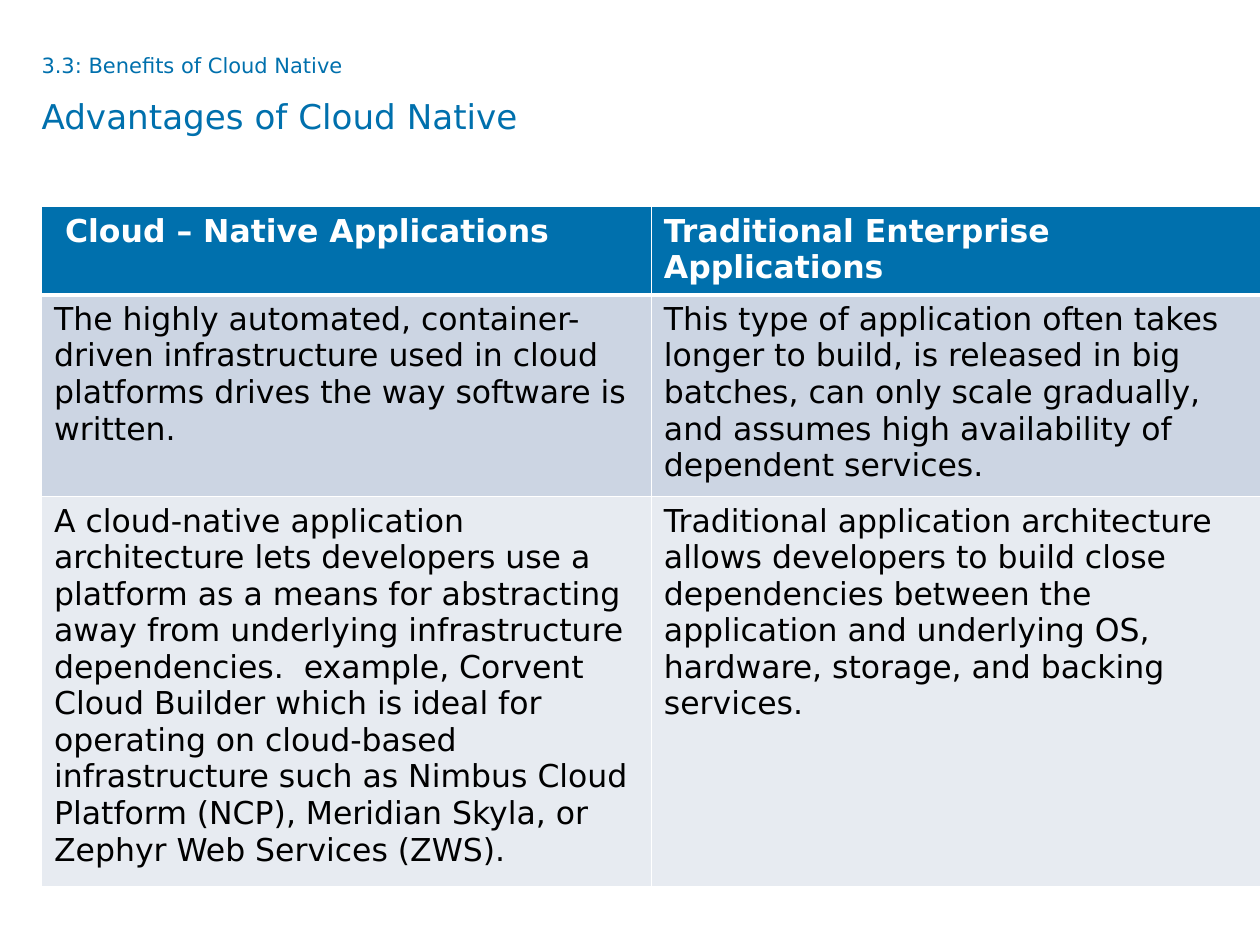
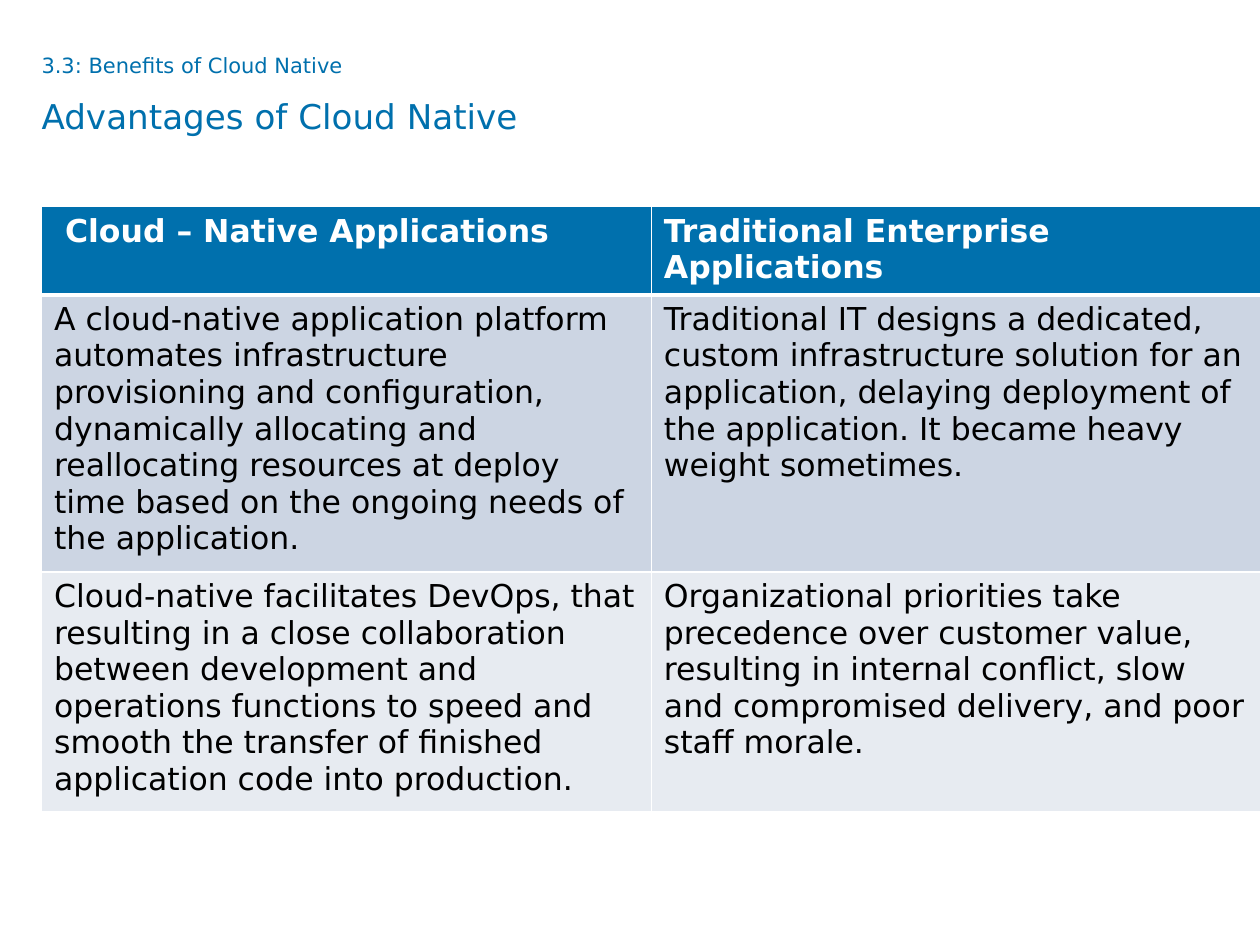
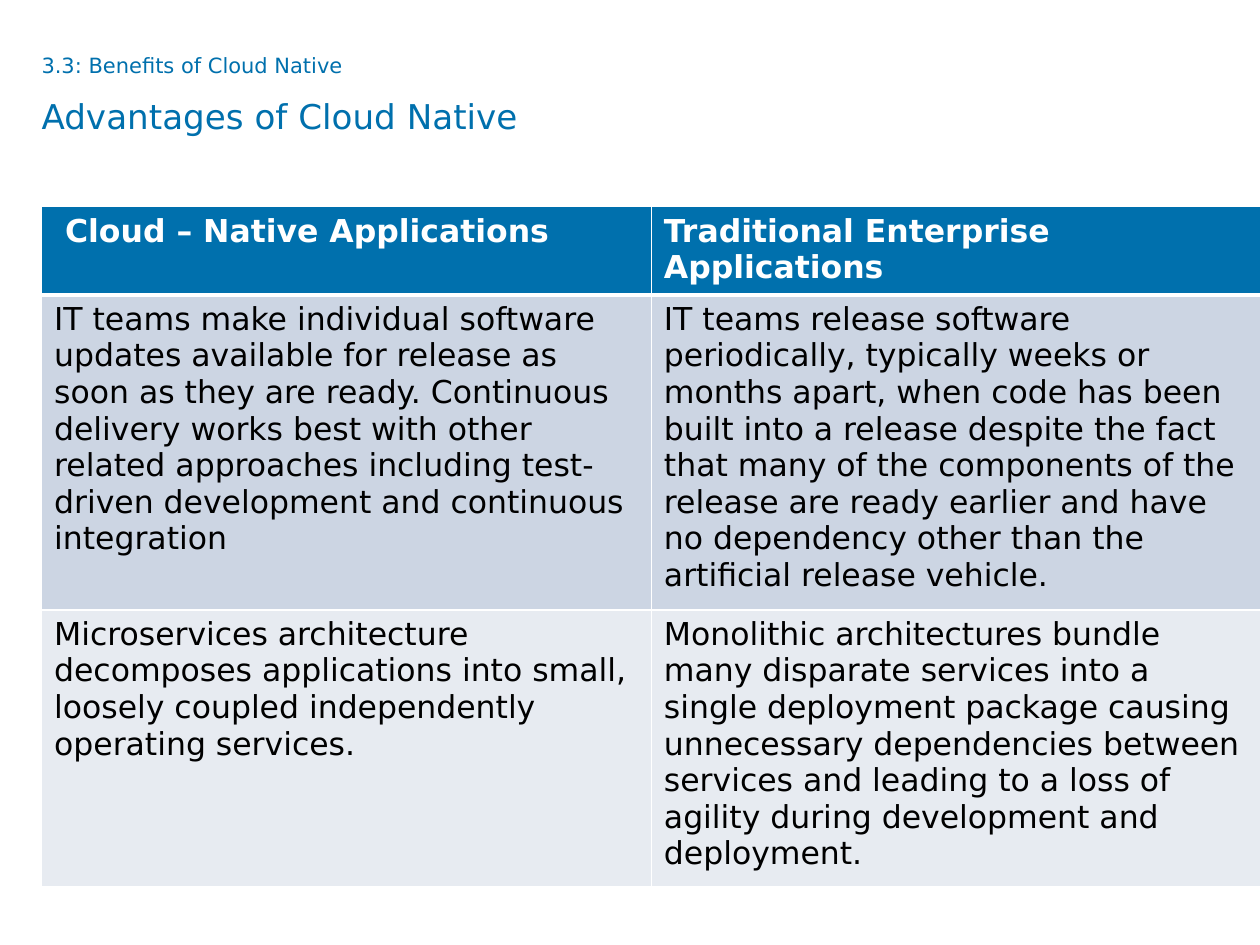
import pptx
import pptx.dml.color
import pptx.enum.text
import pptx.util
from lxml import etree
from pptx.oxml.ns import qn

Inches = pptx.util.Inches
Pt = pptx.util.Pt

FONT = "DejaVu Sans"
COLORS = {
    "blue": "0070AD",
    "white": "FFFFFF",
    "black": "000000",
    "dark band": "CCD5E3",
    "light band": "E7EBF1",
}
ROW_FILLS = ["blue", "dark band", "light band"]
LEFT = 0.33
COLUMN_WIDTH = 4.84
ROW_HEIGHT = 0.41  # rows grow to fit their text

SECTION = "3.3: Benefits of Cloud Native"
TITLE = "Advantages of Cloud Native"
HEADER = (" Cloud – Native Applications", "Traditional Enterprise Applications")

# Table height and body rows of each slide
SLIDES = [
    (5.11, [
        ("The highly automated, container-driven infrastructure used in cloud platforms "
         "drives the way software is written.",
         "This type of application often takes longer to build, is released in big batches, "
         "can only scale gradually, and assumes high availability of dependent services."),
        ("A cloud-native application architecture lets developers use a platform as a means "
         "for abstracting away from underlying infrastructure dependencies.  example, Corvent "
         "Cloud Builder which is ideal for operating on cloud-based infrastructure such as "
         "Nimbus Cloud Platform (NCP), Meridian Skyla, or Zephyr Web Services (ZWS).",
         "Traditional application architecture allows developers to build close dependencies "
         "between the application and underlying OS, hardware, storage, and backing services."),
    ]),
    (4.51, [
        ("A cloud-native application platform automates infrastructure provisioning and "
         "configuration, dynamically allocating and reallocating resources at deploy time "
         "based on the ongoing needs of the application.",
         "Traditional IT designs a dedicated, custom infrastructure solution for an "
         "application, delaying deployment of the application. It became heavy weight "
         "sometimes."),
        ("Cloud-native facilitates DevOps, that resulting in a close collaboration between "
         "development and operations functions to speed and smooth the transfer of finished "
         "application code into production.",
         "Organizational priorities take precedence over customer value, resulting in "
         "internal conflict, slow and compromised delivery, and poor staff morale."),
    ]),
    (5.11, [
        ("IT teams make individual software updates available for release as soon as they "
         "are ready. Continuous delivery works best with other related approaches including "
         "test-driven development and continuous integration",
         "IT teams release software periodically, typically weeks or months apart, when code "
         "has been built into a release despite the fact that many of the components of the "
         "release are ready earlier and have no dependency other than the artificial release "
         "vehicle."),
        ("Microservices architecture decomposes applications into small, loosely coupled "
         "independently operating services.",
         "Monolithic architectures bundle many disparate services into a single deployment "
         "package causing unnecessary dependencies between services and leading to a loss of "
         "agility during development and deployment."),
    ]),
]


def write(paragraph, text, size=18, color="black", bold=False, line_spacing=None, space_before=0):
    paragraph.line_spacing = line_spacing
    paragraph.space_before = Pt(space_before)
    run = paragraph.add_run()
    run.text = text
    run.font.name = FONT
    run.font.size = Pt(size)
    run.font.bold = bold
    run.font.color.rgb = pptx.dml.color.RGBColor.from_string(COLORS[color])


def set_borders(cell, top, bottom):
    properties = cell._tc.get_or_add_tcPr()
    widths = {"a:lnL": 1, "a:lnR": 1, "a:lnT": top, "a:lnB": bottom}
    for position, (tag, width) in enumerate(widths.items()):
        line = etree.Element(qn(tag), w=str(Pt(width)))
        fill = etree.SubElement(line, qn("a:solidFill"))
        etree.SubElement(fill, qn("a:srgbClr"), val=COLORS["white"])
        properties.insert(position, line)


presentation = pptx.Presentation()
presentation.slide_width = Inches(10)
presentation.slide_height = Inches(7.5)

for table_height, body_rows in SLIDES:
    slide = presentation.slides.add_slide(presentation.slide_layouts[6])

    # Section line and title
    title_box = slide.shapes.add_textbox(Inches(LEFT), Inches(0.44), Inches(9.04), Inches(0.94))
    frame = title_box.text_frame
    frame.word_wrap = True
    frame.vertical_anchor = pptx.enum.text.MSO_ANCHOR.TOP
    frame.margin_left = frame.margin_right = frame.margin_top = frame.margin_bottom = 0
    write(frame.paragraphs[0], SECTION, size=12, color="blue", line_spacing=0.9)
    write(frame.add_paragraph(), TITLE, size=19.5, color="blue", line_spacing=0.9,
          space_before=12.6)

    # Comparison table
    rows = [HEADER] + body_rows
    table_frame = slide.shapes.add_table(len(rows), len(HEADER), Inches(LEFT), Inches(1.64),
                                         Inches(2 * COLUMN_WIDTH), Inches(table_height))
    table = table_frame.table
    for column in table.columns:
        column.width = Inches(COLUMN_WIDTH)
    for row_index, texts in enumerate(rows):
        table.rows[row_index].height = Inches(ROW_HEIGHT)
        is_header = row_index == 0
        for column_index, text in enumerate(texts):
            cell = table.cell(row_index, column_index)
            cell.fill.solid()
            cell.fill.fore_color.rgb = pptx.dml.color.RGBColor.from_string(
                COLORS[ROW_FILLS[row_index]])
            set_borders(cell, top=3 if row_index == 1 else 1, bottom=3 if is_header else 1)
            write(cell.text_frame.paragraphs[0], text, bold=is_header,
                  color="white" if is_header else "black")
    table_frame.height = Inches(table_height)

presentation.save("out.pptx")
